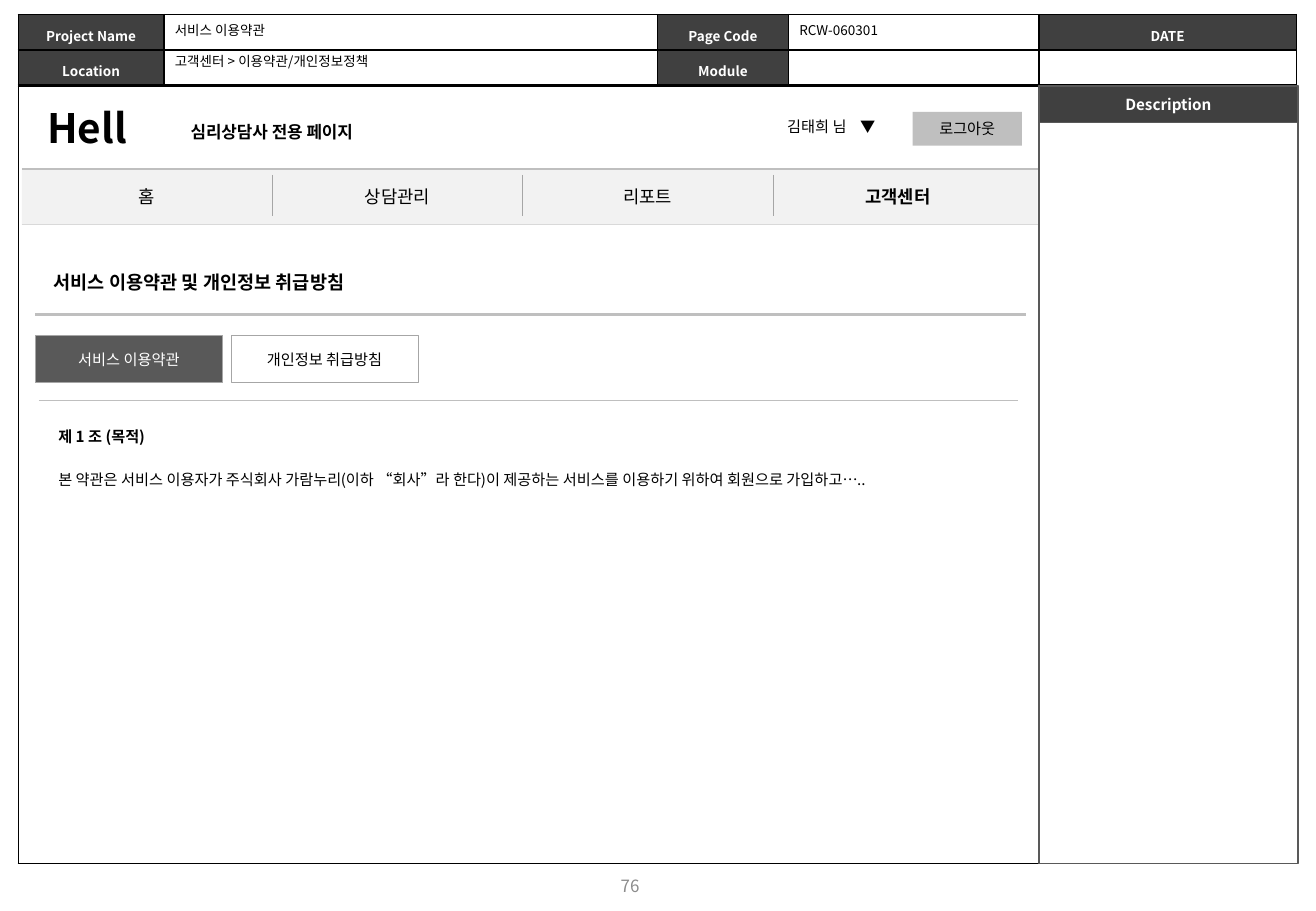
from collections import namedtuple

from lxml import etree
from pptx import Presentation
from pptx.dml.color import RGBColor
from pptx.enum.shapes import MSO_CONNECTOR, MSO_SHAPE
from pptx.enum.text import MSO_ANCHOR, MSO_AUTO_SIZE, PP_ALIGN
from pptx.oxml.ns import qn
from pptx.util import Inches, Pt

RECT = MSO_SHAPE.RECTANGLE
LINE = MSO_CONNECTOR.STRAIGHT
LEFT, CENTER = PP_ALIGN.LEFT, PP_ALIGN.CENTER
TOP, MIDDLE = MSO_ANCHOR.TOP, MSO_ANCHOR.MIDDLE
Box = namedtuple("Box", "x y w h")


class Theme:
    font = "Noto Sans CJK KR"
    black, white = "000000", "FFFFFF"
    dark, slate = "404040", "595959"
    number, edge, rule = "8C8C8C", "A6A6A6", "BFBFBF"
    hair, pale = "D9D9D9", "F2F2F2"
    small, body, sub, nav, head, logo = 8, 9, 10, 10.5, 11, 24
    leading = 1.3


# Basic parts
def rgb(color):
    return RGBColor.from_string(color)


def place(item, box):
    item.left, item.top, item.width, item.height = map(Inches, box)


def style(par, size, color=Theme.black, bold=False, align=LEFT):
    par.alignment = align
    for run in par.runs:
        font = run.font
        font.size, font.bold, font.name = Pt(size), bold, Theme.font
        font.color.rgb = rgb(color)
        etree.SubElement(font._element, qn("a:ea"), typeface=Theme.font)


def write(frame, text, size, anchor=TOP, **look):
    frame.word_wrap = True
    frame.vertical_anchor = anchor
    frame.text = text
    style(frame.paragraphs[0], size, **look)


def label(slide, box, text, size, **look):
    frame = slide.shapes.add_textbox(*map(Inches, box)).text_frame
    write(frame, text, size, **look)
    return frame


def block(slide, box, fill, edge=None, width=1, text="", size=Theme.body, **look):
    shape = slide.shapes.add_shape(RECT, *map(Inches, box))
    shape.shadow.inherit = False
    shape.fill.solid()
    shape.fill.fore_color.rgb = rgb(fill)
    if edge:
        shape.line.color.rgb = rgb(edge)
        shape.line.width = Pt(width)
    else:
        shape.line.fill.background()
    if text:
        write(shape.text_frame, text, size, anchor=MIDDLE, align=CENTER, **look)


def rule(slide, x, y, w, color=Theme.rule, width=1.5):
    line = slide.shapes.add_connector(LINE, *map(Inches, (x, y, x + w, y)))
    line.line.color.rgb = rgb(color)
    line.line.width = Pt(width)
    etree.SubElement(line._element.spPr, qn("a:effectLst"))


def grid(slide, box, cols, rows):
    table = slide.shapes.add_table(rows, len(cols), *map(Inches, box)).table
    table.first_row = table.horz_banding = False
    for col, width in zip(table.columns, cols):
        col.width = Inches(width)
    return table


def border(cell, sides, color, width):
    props = cell._tc.get_or_add_tcPr()
    for side in "LRTB":
        line = etree.SubElement(props, qn("a:ln" + side), w=str(Pt(width)))
        if side in sides:
            fill = etree.SubElement(line, qn("a:solidFill"))
            etree.SubElement(fill, qn("a:srgbClr"), val=color)
        else:
            etree.SubElement(line, qn("a:noFill"))
    cell.fill.background()


# Project details along the top
def header(slide, box):
    cols = [1.2, 4.06, 1.08, 2.06, 2.12]
    names = [["Project Name", "", "Page Code", "", "DATE"],
             ["Location", "", "Module", "", ""]]
    table = grid(slide, box, cols, len(names))
    for r, row in enumerate(names):
        for c, name in enumerate(row):
            cell = table.cell(r, c)
            border(cell, "LRTB", Theme.black, 1)
            cell.margin_left = cell.margin_right = Inches(0.04)
            cell.margin_top = cell.margin_bottom = Inches(0.04)
            par = cell.text_frame.paragraphs[0]
            if name:
                cell.fill.solid()
                cell.fill.fore_color.rgb = rgb(Theme.dark)
                par.text = name
                par.line_spacing = Theme.leading
                style(par, Theme.small, Theme.white, True, CENTER)
            else:
                etree.SubElement(par._p, qn("a:endParaRPr"), sz=str(Theme.small * 100))
    values = [(1.19, 0.01, 1.2, "서비스 이용약관"),
              (1.19, 0.27, 2.2, "고객센터 > 이용약관/개인정보정책"),
              (6.33, 0.01, 1.2, "RCW-060301")]
    for x, y, w, text in values:
        label(slide, Box(box.x + x, box.y + y, w, 0.24), text, Theme.small)


# Page frame and description panel
def frame(slide, box):
    table = grid(slide, box, [box.w], 1)
    border(table.cell(0, 0), "LRTB", Theme.black, 1)


def panel(slide, box):
    block(slide, box, Theme.white, Theme.slate)
    block(slide, box._replace(h=0.3), Theme.dark, Theme.slate,
          text="Description", color=Theme.white, bold=True)


# Site banner with account tools
def banner(slide, box):
    x, y = box.x, box.y
    label(slide, Box(x, y, 1.04, 0.5), "Hell", Theme.logo, bold=True)
    label(slide, Box(x + 1.18, y + 0.15, 1.8, 0.27),
          "심리상담사 전용 페이지", Theme.sub, bold=True)
    user = label(slide, Box(x + 6.09, y + 0.12, 1.1, 0.25), "김태희 님\t▼", Theme.body)
    props = user.paragraphs[0]._p.get_or_add_pPr()
    tabs = etree.SubElement(props, qn("a:tabLst"))
    etree.SubElement(tabs, qn("a:tab"), pos=str(Inches(0.6)), algn="l")
    block(slide, Box(x + box.w - 0.93, y + 0.12, 0.9, 0.28), Theme.rule, text="로그아웃")


# Main menu
def menu(slide, box):
    block(slide, box, Theme.pale)
    rule(slide, box.x, box.y, box.w)
    rule(slide, box.x, box.y + box.h, box.w, Theme.hair, 0.25)
    names = ["홈", "상담관리", "리포트", "고객센터"]
    col = 2.06
    area = Box(box.x, box.y + 0.05, col * len(names), 0.34)
    table = grid(slide, area, [col] * len(names), 1)
    last = len(names) - 1
    for i, name in enumerate(names):
        cell = table.cell(0, i)
        sides = ("L" if i else "") + ("R" if i < last else "")
        border(cell, sides, Theme.edge, 0.25)
        cell.vertical_anchor = MIDDLE
        par = cell.text_frame.paragraphs[0]
        par.text = name
        style(par, Theme.nav, bold=i == last, align=CENTER)


# Page title and tabs
def heading(slide, box):
    title = slide.shapes.title
    place(title, Box(box.x + 0.05, box.y, 3.2, 0.29))
    title.text_frame.auto_size = MSO_AUTO_SIZE.NONE
    write(title.text_frame, "서비스 이용약관 및 개인정보 취급방침", Theme.head, bold=True)
    rule(slide, box.x, box.y + 0.41, box.w)
    tabs = [("서비스 이용약관", Theme.slate, Theme.white),
            ("개인정보 취급방침", Theme.white, Theme.black)]
    for i, (text, fill, color) in enumerate(tabs):
        block(slide, Box(box.x + i * 1.61, box.y + 0.58, 1.54, 0.39), fill,
              Theme.edge, 0.25, text, color=color)


# Terms text
def terms(slide, box):
    rule(slide, box.x, box.y, box.w, width=0.75)
    body = slide.placeholders[1]
    place(body, Box(box.x + 0.06, box.y + 0.12, 7.6, box.h - 0.12))
    text = body.text_frame
    text.auto_size = MSO_AUTO_SIZE.NONE
    text.text = ("제 1 조 (목적)\n본 약관은 서비스 이용자가 주식회사 가람누리(이하 “회사”라 한다)이 "
                 "제공하는 서비스를 이용하기 위하여 회원으로 가입하고…..")
    for i, par in enumerate(text.paragraphs):
        props = par._p.get_or_add_pPr()
        props.set("marL", "0")
        props.set("indent", "0")
        etree.SubElement(props, qn("a:buNone"))
        par.line_spacing = Theme.leading
        par.space_before = Pt(11.5 if i else 0)
        style(par, Theme.body, bold=i == 0)


def main():
    deck = Presentation()
    deck.slide_width, deck.slide_height = Inches(10.83), Inches(7.5)
    slide = deck.slides.add_slide(deck.slide_layouts[1])
    frame(slide, Box(0.15, 0.71, 10.51, 6.4))
    header(slide, Box(0.15, 0.12, 10.52, 0.58))
    panel(slide, Box(8.55, 0.71, 2.13, 6.4))
    banner(slide, Box(0.29, 0.8, 8.15, 0.5))
    menu(slide, Box(0.18, 1.39, 8.36, 0.46))
    heading(slide, Box(0.29, 2.18, 8.15, 0.97))
    terms(slide, Box(0.32, 3.3, 8.06, 0.81))
    label(slide, Box(3.92, 7.09, 2.53, 0.4), "76", Theme.sub,
          anchor=MIDDLE, color=Theme.number, align=CENTER)
    deck.save("out.pptx")


if __name__ == "__main__":
    main()
